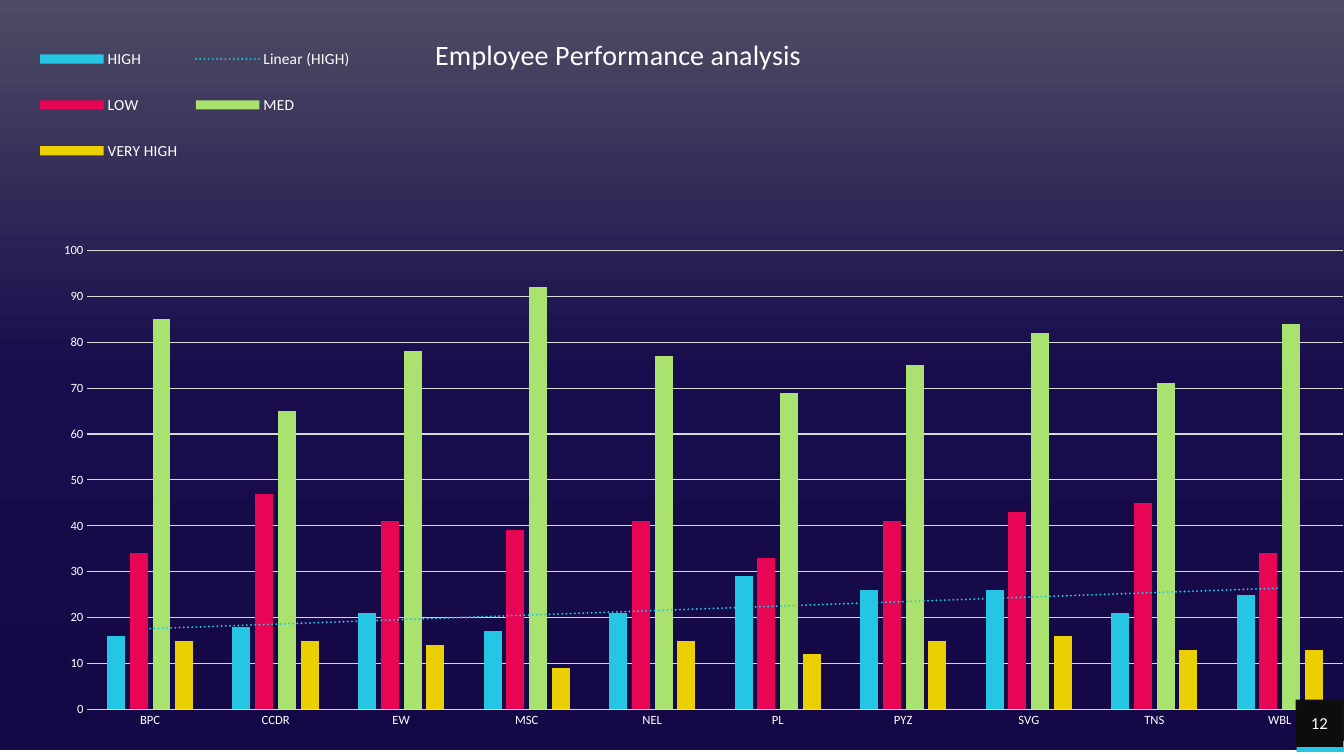
from typing import NamedTuple

from lxml.etree import fromstring
from pptx import Presentation
from pptx.chart.data import CategoryChartData
from pptx.dml.color import RGBColor
from pptx.enum.chart import XL_CHART_TYPE, XL_LEGEND_POSITION, XL_TICK_MARK
from pptx.enum.shapes import MSO_SHAPE
from pptx.enum.text import MSO_ANCHOR, PP_ALIGN
from pptx.oxml.ns import qn
from pptx.util import Inches, Pt

FONT = "Calibri"
WHITE, GRID, CYAN, BLACK = "FFFFFF", "D9D9D9", "25C6E3", "0D0D0D"
NS = ('xmlns:c="http://schemas.openxmlformats.org/drawingml/2006/chart" '
      'xmlns:a="http://schemas.openxmlformats.org/drawingml/2006/main"')
CATEGORIES = ["BPC", "CCDR", "EW", "MSC", "NEL", "PL", "PYZ", "SVG", "TNS", "WBL"]
GRADIENT = [(0, "4E4C64"), (50, "180C4C"), (100, "140846")]


class Rating(NamedTuple):
    name: str
    color: str
    counts: list[int]


class Box(NamedTuple):
    left: float
    top: float
    width: float
    height: float

    def inches(self) -> list:
        return [Inches(v) for v in self]


RATINGS = [
    Rating("HIGH", CYAN, [16, 18, 21, 17, 21, 29, 26, 26, 21, 25]),
    Rating("LOW", "E80554", [34, 47, 41, 39, 41, 33, 41, 43, 45, 34]),
    Rating("MED", "A9E26F", [85, 65, 78, 92, 77, 69, 75, 82, 71, 84]),
    Rating("VERY HIGH", "EAD000", [15, 15, 14, 9, 15, 12, 15, 16, 13, 13]),
]


def rgb(color: str) -> RGBColor:
    return RGBColor.from_string(color)


def set_font(font, size: float, color: str = WHITE) -> None:
    font.name, font.size, font.bold = FONT, Pt(size), False
    font.color.rgb = rgb(color)


def add_text(tf, text: str, *, size: float, color: str = WHITE, align=PP_ALIGN.CENTER) -> None:
    p = tf.paragraphs[0]
    p.alignment = align
    r = p.add_run()
    r.text = text
    set_font(r.font, size, color)


def add_rect(slide, box: Box, color: str):
    sp = slide.shapes.add_shape(MSO_SHAPE.RECTANGLE, *box.inches())
    sp.shadow.inherit = False
    sp.fill.solid()
    sp.fill.fore_color.rgb = rgb(color)
    sp.line.fill.background()
    return sp


def set_layout(parent, index: int, inner: bool = False, **place: float) -> None:
    """Place a chart part by fractions of the chart (x, y, w, h)."""
    for old in parent.findall(qn("c:layout")):
        parent.remove(old)
    target = '<c:layoutTarget val="inner"/>' if inner else ""
    modes = "".join(f'<c:{k}Mode val="edge"/>' for k in "xy")
    values = "".join(f'<c:{k} val="{v}"/>' for k, v in place.items())
    parent.insert(index, fromstring(
        f"<c:layout {NS}><c:manualLayout>{target}{modes}{values}"
        "</c:manualLayout></c:layout>"))


def add_trend_line(series, color: str) -> None:
    series._element.find(qn("c:cat")).addprevious(fromstring(
        f'<c:trendline {NS}><c:spPr><a:ln w="{Pt(1.5)}" cap="rnd"><a:solidFill>'
        f'<a:srgbClr val="{color}"/></a:solidFill><a:prstDash val="sysDot"/></a:ln></c:spPr>'
        '<c:trendlineType val="linear"/><c:dispRSqr val="0"/><c:dispEq val="0"/>'
        "</c:trendline>"))


def fill_chart(chart) -> None:
    """Give the chart area its vertical gradient."""
    stops = "".join(f'<a:gs pos="{pos * 1000}"><a:srgbClr val="{color}"/></a:gs>'
                    for pos, color in GRADIENT)
    chart._chartSpace.find(qn("c:chart")).addnext(fromstring(
        f'<c:spPr {NS}><a:gradFill rotWithShape="1"><a:gsLst>{stops}</a:gsLst>'
        '<a:lin ang="5400000" scaled="0"/></a:gradFill><a:ln><a:noFill/></a:ln></c:spPr>'))


def style_axes(chart) -> None:
    for axis in (chart.category_axis, chart.value_axis):
        axis.major_tick_mark = axis.minor_tick_mark = XL_TICK_MARK.NONE
        set_font(axis.tick_labels.font, 9)
    values = chart.value_axis
    values.minimum_scale, values.maximum_scale, values.major_unit = 0, 100, 10
    values.format.line.fill.background()
    for line in (chart.category_axis.format.line, values.major_gridlines.format.line):
        line.color.rgb = rgb(GRID)
        line.width = Pt(0.75)


def add_performance_chart(slide) -> None:
    data = CategoryChartData()
    data.categories = CATEGORIES
    for rating in RATINGS:
        data.add_series(rating.name, rating.counts)
    box = Box(0, 0, 13.33, 7.44)
    chart = slide.shapes.add_chart(XL_CHART_TYPE.COLUMN_CLUSTERED, *box.inches(), data).chart
    set_font(chart.font, 10)
    fill_chart(chart)

    plot = chart.plots[0]
    plot.gap_width, plot.overlap, plot.vary_by_categories = 219, -27, False
    for series, rating in zip(plot.series, RATINGS):
        series.format.fill.solid()
        series.format.fill.fore_color.rgb = rgb(rating.color)
    add_trend_line(plot.series[0], CYAN)
    style_axes(chart)

    chart.has_title = True
    add_text(chart.chart_title.text_frame, "Employee Performance analysis", size=20)
    chart.has_legend = True
    chart.legend.position = XL_LEGEND_POSITION.RIGHT
    chart.legend.include_in_layout = False
    set_font(chart.legend.font, 11)

    set_layout(chart.chart_title._element, 1, x=0.32, y=0.04)
    set_layout(chart.legend._element, 1, x=0.02, y=0.03, w=0.25, h=0.22)
    plot_area = chart._chartSpace.find(f".//{qn('c:plotArea')}")
    set_layout(plot_area, 0, inner=True, x=0.065, y=0.334, w=0.934, h=0.612)


def add_page_number(slide, number: str) -> None:
    add_rect(slide, Box(12.86, 7.35, 0.47, 0.11), CYAN)
    tf = add_rect(slide, Box(12.85, 6.94, 0.47, 0.47), BLACK).text_frame
    tf.margin_left = tf.margin_right = tf.margin_top = tf.margin_bottom = 0
    tf.vertical_anchor = MSO_ANCHOR.MIDDLE
    add_text(tf, number, size=12)


def main() -> None:
    prs = Presentation()
    prs.slide_width, prs.slide_height = Inches(13.33), Inches(7.5)
    slide = prs.slides.add_slide(prs.slide_layouts.get_by_name("Blank"))
    add_performance_chart(slide)
    add_page_number(slide, "12")
    prs.save("out.pptx")


if __name__ == "__main__":
    main()
